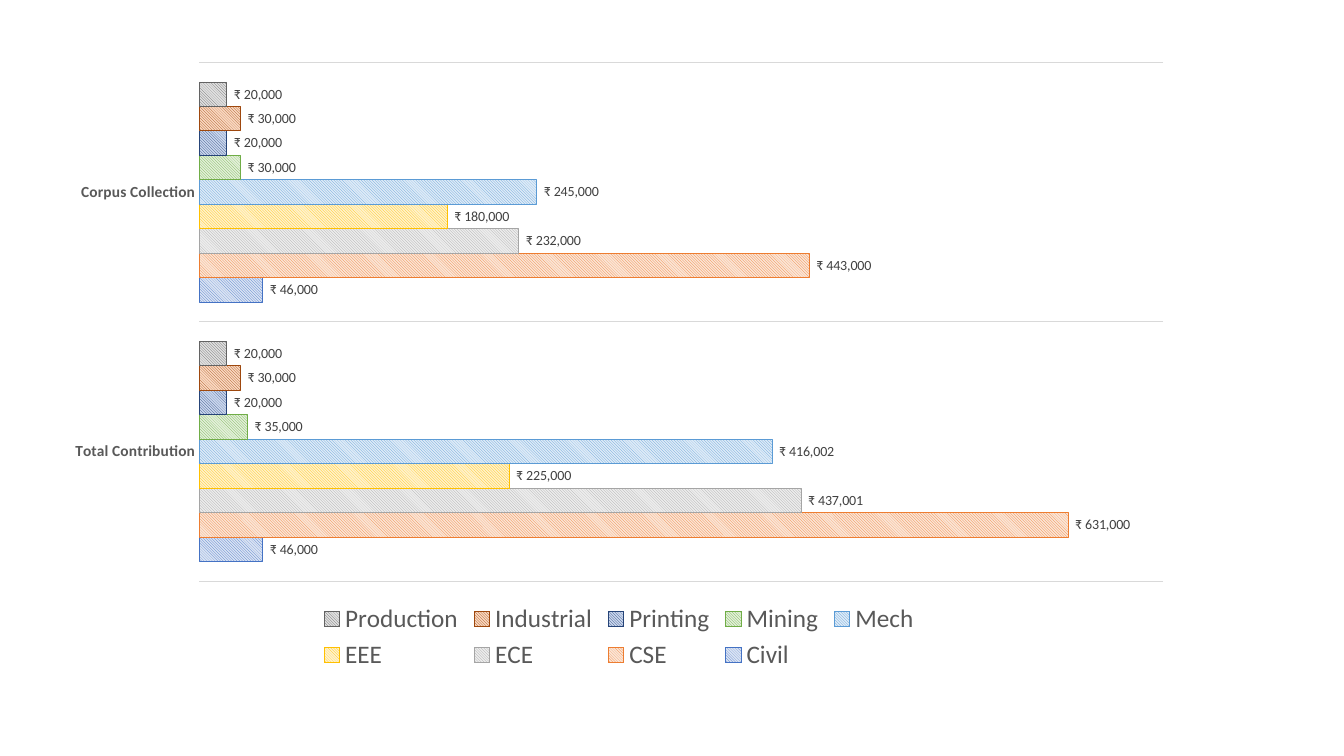
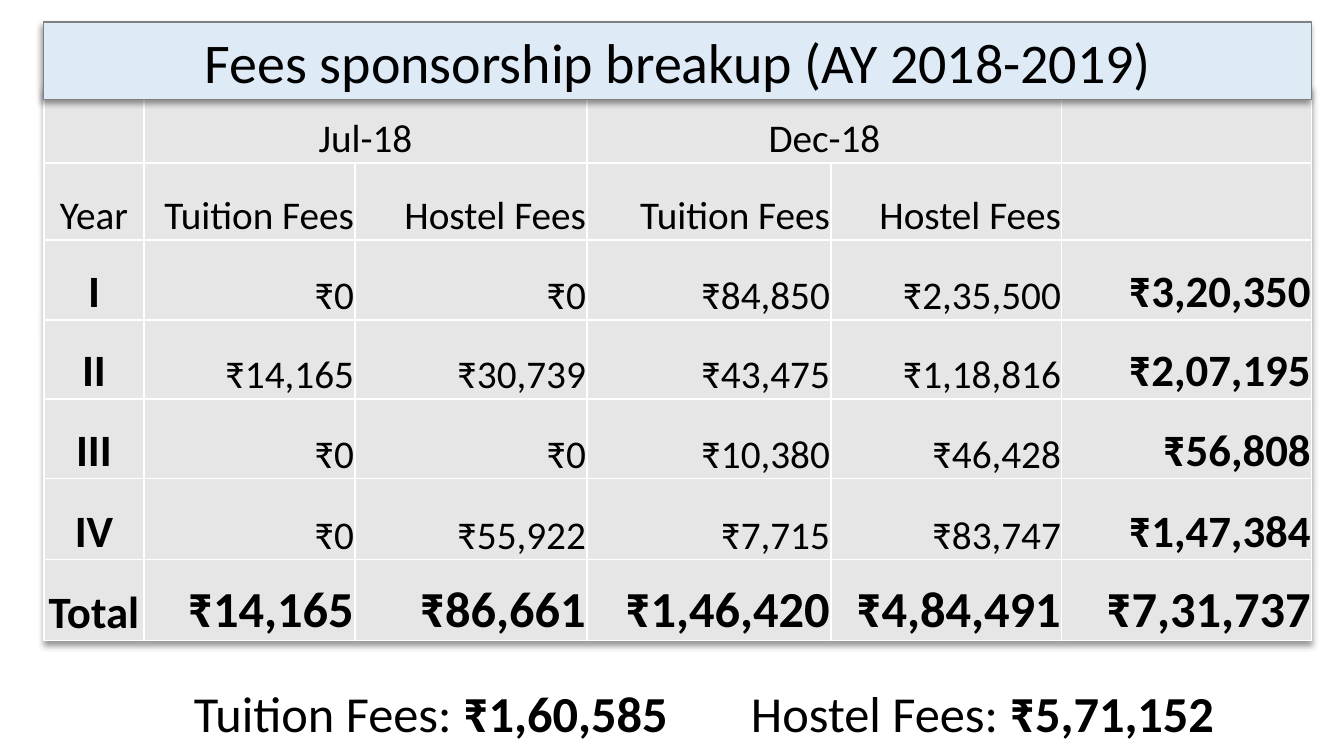
from lxml import etree
from pptx import Presentation
from pptx.chart.data import CategoryChartData
from pptx.dml.color import RGBColor
from pptx.enum.chart import XL_CHART_TYPE, XL_LABEL_POSITION, XL_LEGEND_POSITION, XL_TICK_MARK
from pptx.enum.dml import MSO_PATTERN
from pptx.enum.shapes import MSO_SHAPE
from pptx.enum.text import MSO_ANCHOR, PP_ALIGN
from pptx.oxml import parse_xml
from pptx.util import Emu, Pt

PX_PER_INCH = 100.8
FONT = "Calibri"
BAR = XL_CHART_TYPE.BAR_CLUSTERED
HATCH = MSO_PATTERN.LIGHT_DOWNWARD_DIAGONAL
OUTSIDE, BOTTOM, NO_TICK = XL_LABEL_POSITION.OUTSIDE_END, XL_LEGEND_POSITION.BOTTOM, XL_TICK_MARK.NONE
LEFT, CENTER, RIGHT = PP_ALIGN.LEFT, PP_ALIGN.CENTER, PP_ALIGN.RIGHT
COLORS = dict(text="000000", axis="595959", label="404040", grid="D9D9D9",
              cell="E7E6E6", border="FFFFFF", title="DEEBF7", title_line="808080")
DRAWING_NS = 'xmlns:a="http://schemas.openxmlformats.org/drawingml/2006/main"'
CHART_NS = 'xmlns:c="http://schemas.openxmlformats.org/drawingml/2006/chart"'

CHART_BOX = (52, 50, 1134, 625)
PLOT_LAYOUT = dict(x=0.13, y=0.02, w=0.85, h=0.83)
RUPEES = r'_ "₹"\ * #,##0_ ;_ "₹"\ * \-#,##0_ ;_ "₹"\ * "-"_ ;_ @_ '
CATEGORIES = ["Total Contribution", "Corpus Collection"]
DEPARTMENTS = [  # name, values, hatch and outline, background
    ("Civil", (46000, 46000), "4472C4", "DAE3F3"),
    ("CSE", (631000, 443000), "ED7D31", "FBE5D6"),
    ("ECE", (437001, 232000), "A5A5A5", "EDEDED"),
    ("EEE", (225000, 180000), "FFC000", "FFF2CC"),
    ("Mech", (416002, 245000), "5B9BD5", "DEEBF7"),
    ("Mining", (35000, 30000), "70AD47", "E2F0D9"),
    ("Printing", (20000, 20000), "264478", "CAD7EE"),
    ("Industrial", (30000, 30000), "9E480E", "FAD8C1"),
    ("Production", (20000, 20000), "636363", "E0E0E0"),
]

TITLE = "Fees sponsorship breakup (AY 2018-2019)"
TITLE_BOX = (44, 22, 1268, 78)
TABLE_AT = (44, 86)
COL_WIDTHS = [100, 211, 232, 244, 231, 250]
ROW_HEIGHTS = [77, 77, 80, 79, 80, 81, 81]
HEADER_ROWS = 2
MERGES = [(0, 1, 2), (0, 3, 4)]  # row, first column, last column
FEES = [
    ["", "Jul-18", "", "Dec-18", "", ""],
    ["Year", "Tuition Fees", "Hostel Fees", "Tuition Fees", "Hostel Fees", ""],
    ["I", "₹0", "₹0", "₹84,850", "₹2,35,500", "₹3,20,350"],
    ["II", "₹14,165", "₹30,739", "₹43,475", "₹1,18,816", "₹2,07,195"],
    ["III", "₹0", "₹0", "₹10,380", "₹46,428", "₹56,808"],
    ["IV", "₹0", "₹55,922", "₹7,715", "₹83,747", "₹1,47,384"],
    ["Total", "₹14,165", "₹86,661", "₹1,46,420", "₹4,84,491", "₹7,31,737"],
]
SUMMARIES = [
    ((184, 677, 508, 105), "Tuition Fees: ", "₹1,60,585"),
    ((741, 677, 508, 105), "Hostel Fees: ", "₹5,71,152"),
]


def px(n):
    return Emu(round(n * 914400 / PX_PER_INCH))


def box(lengths):
    return [px(n) for n in lengths]


def rgb(value):
    return RGBColor.from_string(COLORS.get(value, value))


def style_font(font, size, color="text", bold=False):
    for name, value in dict(name=FONT, size=Pt(size), bold=bold).items():
        setattr(font, name, value)
    font.color.rgb = rgb(color)


def style_line(line, color, width=0.75):
    line.color.rgb = rgb(color)
    line.width = Pt(width)


def write(tf, runs, size, align=LEFT):
    """Fill the first paragraph with (text, bold) runs."""
    p = tf.paragraphs[0]
    p.alignment = align
    for text, bold in runs:
        r = p.add_run()
        r.text = text
        style_font(r.font, size, bold=bold)


def shadow(degrees):
    return parse_xml(
        f'<a:effectLst {DRAWING_NS}><a:outerShdw blurRad="{Pt(4)}" dist="{Pt(3)}" '
        f'dir="{degrees * 60000}" algn="t" rotWithShape="0"><a:srgbClr val="000000">'
        '<a:alpha val="40000"/></a:srgbClr></a:outerShdw></a:effectLst>')


def set_plot_layout(chart):
    """Fix the inner plot area as fractions of the chart."""
    area = chart.plots[0]._element.getparent()
    for old in area.findall("{*}layout"):
        area.remove(old)
    sizes = "".join(f'<c:{k} val="{v}"/>' for k, v in PLOT_LAYOUT.items())
    area.insert(0, parse_xml(
        f'<c:layout {CHART_NS}><c:manualLayout><c:layoutTarget val="inner"/>'
        f'<c:xMode val="edge"/><c:yMode val="edge"/>{sizes}</c:manualLayout></c:layout>'))


def add_department_chart(s):
    data = CategoryChartData(number_format=RUPEES)
    data.categories = CATEGORIES
    for name, values, _, _ in DEPARTMENTS:
        data.add_series(name, values)
    chart = s.shapes.add_chart(BAR, *box(CHART_BOX), data).chart
    chart.has_title = False
    style_font(chart.font, 10)
    set_plot_layout(chart)

    plot = chart.plots[0]
    plot.gap_width, plot.overlap, plot.vary_by_categories = 160, 0, False
    for series, (_, _, color, back) in zip(plot.series, DEPARTMENTS):
        series.invert_if_negative = False
        fill = series.format.fill
        fill.patterned()
        fill.pattern = HATCH
        fill.fore_color.rgb, fill.back_color.rgb = rgb(color), rgb(back)
        style_line(series.format.line, color)
        labels = series.data_labels
        for name, value in dict(show_value=True, number_format=RUPEES,
                                number_format_is_linked=False, position=OUTSIDE).items():
            setattr(labels, name, value)
        style_font(labels.font, 10, "label")

    axis = chart.category_axis
    axis.major_tick_mark = axis.minor_tick_mark = NO_TICK
    axis.format.line.fill.background()
    axis.has_major_gridlines = True
    style_line(axis.major_gridlines.format.line, "grid")
    style_font(axis.tick_labels.font, 11, "axis", True)

    values = chart.value_axis
    values.minimum_scale, values.maximum_scale = 0, 700000
    values.has_major_gridlines = values.visible = False

    chart.has_legend = True
    chart.legend.position, chart.legend.include_in_layout = BOTTOM, False
    style_font(chart.legend.font, 18, "axis")


def cell_style(row, col):
    """Return size, bold and alignment for a table position."""
    align = CENTER if row == 0 or col == 0 else RIGHT
    if row < HEADER_ROWS:
        return 28, False, align
    if row == len(FEES) - 1 and col > 0:
        return 36, True, align
    outer = col in (0, len(COL_WIDTHS) - 1)
    return (32 if outer else 28), outer, align


def add_borders(cell):
    tc_pr = cell._tc.get_or_add_tcPr()
    for i, side in enumerate("LRTB"):
        tc_pr.insert(i, parse_xml(
            f'<a:ln{side} {DRAWING_NS} w="{Pt(1)}"><a:solidFill>'
            f'<a:srgbClr val="{COLORS["border"]}"/></a:solidFill></a:ln{side}>'))


def add_fee_table(s):
    extent = (sum(COL_WIDTHS), sum(ROW_HEIGHTS))
    table = s.shapes.add_table(len(FEES), len(COL_WIDTHS), *box(TABLE_AT + extent)).table
    table.first_row = table.horz_banding = False
    table._tbl.tblPr.insert(0, shadow(90))
    for column, width in zip(table.columns, COL_WIDTHS):
        column.width = px(width)
    for row, height in zip(table.rows, ROW_HEIGHTS):
        row.height = px(height)
    for r, texts in enumerate(FEES):
        for c, text in enumerate(texts):
            cell = table.cell(r, c)
            cell.fill.solid()
            cell.fill.fore_color.rgb = rgb("cell")
            add_borders(cell)
            cell.margin_left = cell.margin_right = cell.margin_top = px(1)
            cell.margin_bottom = 0
            cell.vertical_anchor = MSO_ANCHOR.BOTTOM
            if text:
                size, bold, align = cell_style(r, c)
                write(cell.text_frame, [(text, bold)], size, align)
    for row, first, last in MERGES:
        table.cell(row, first).merge(table.cell(row, last))


def add_title(s):
    sp = s.shapes.add_shape(MSO_SHAPE.RECTANGLE, *box(TITLE_BOX))
    sp.fill.solid()
    sp.fill.fore_color.rgb = rgb("title")
    style_line(sp.line, "title_line")
    sp._element.spPr.append(shadow(135))
    sp.text_frame.word_wrap = True
    write(sp.text_frame, [(TITLE, False)], 40, CENTER)


def add_summary(s, place, label, amount):
    tf = s.shapes.add_textbox(*box(place)).text_frame
    tf.word_wrap = True
    write(tf, [(label, False), (amount, True)], 36)


def main():
    prs = Presentation()
    prs.slide_width, prs.slide_height = px(1344), px(756)
    blank = prs.slide_layouts[6]
    add_department_chart(prs.slides.add_slide(blank))
    s = prs.slides.add_slide(blank)
    add_fee_table(s)
    add_title(s)
    for summary in SUMMARIES:
        add_summary(s, *summary)
    prs.save("out.pptx")


if __name__ == "__main__":
    main()
